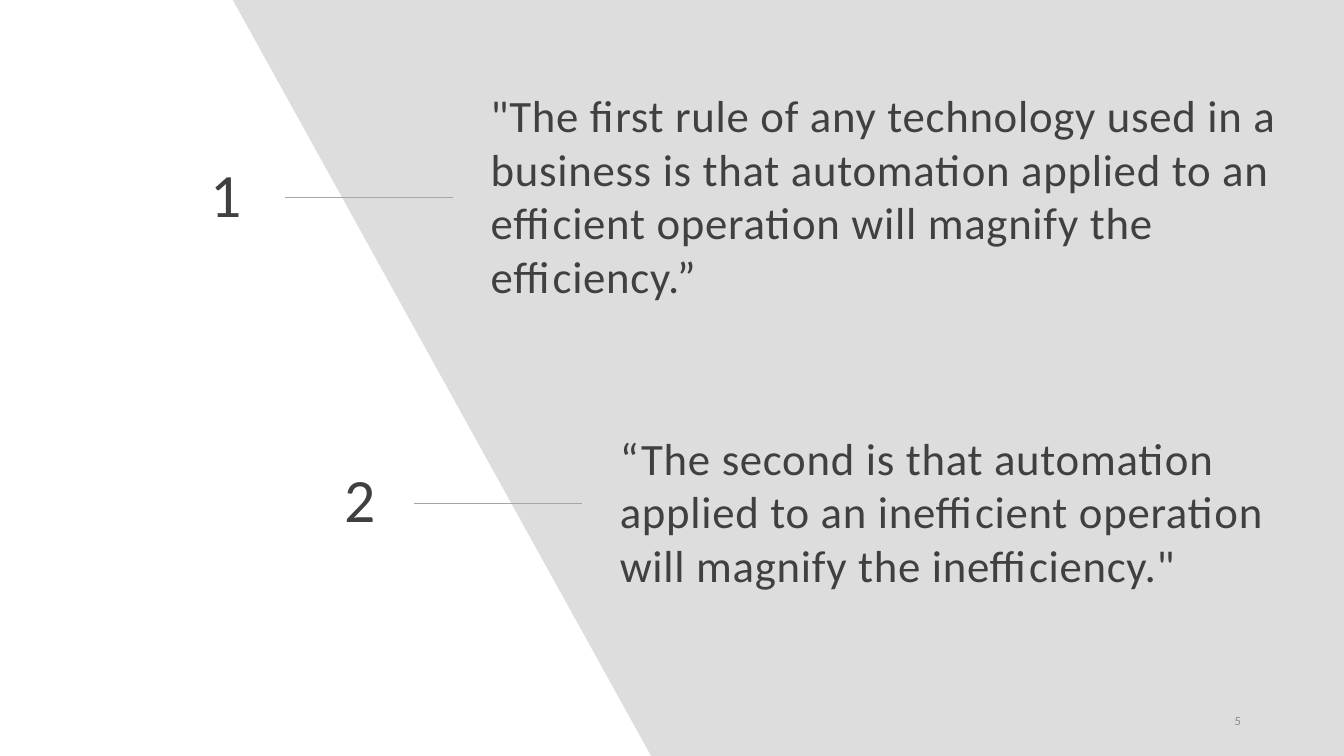
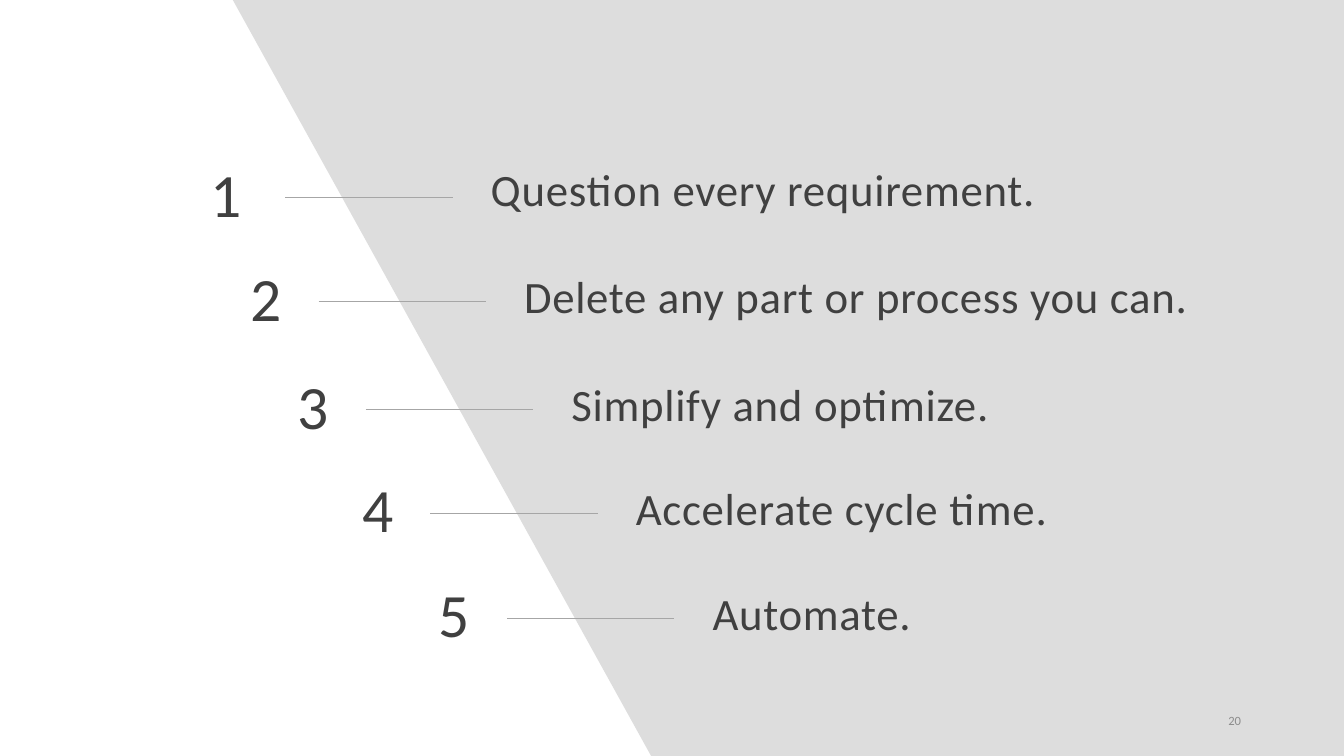
"""Build two slides of numbered statements beside a slanted grey panel."""
from dataclasses import dataclass

import pptx
import pptx.dml.color
import pptx.enum.shapes
import pptx.enum.text
import pptx.oxml.ns
import pptx.util
from lxml import etree


@dataclass(frozen=True)
class Theme:
    font: str = "Calibri"
    panel: str = "DDDDDD"
    ink: str = "404040"
    rule: str = "A6A6A6"
    muted: str = "8C8C8C"
    digit: int = 44
    body: int = 32
    small: int = 9
    hair: float = 0.5


theme = Theme()
rgb = pptx.dml.color.RGBColor.from_string
align = pptx.enum.text.PP_ALIGN
anchor = pptx.enum.text.MSO_ANCHOR
cell = pptx.util.Inches(0.1)
wide, high = 133.33, 75


def grid(*cells):
    return [round(n * cell) for n in cells]


def write(slide, text, place, size=theme.body, color=theme.ink, side=align.LEFT,
          level=anchor.TOP, lead=1.0, track=0):
    frame = slide.shapes.add_textbox(*grid(*place)).text_frame
    frame.word_wrap = True
    frame.vertical_anchor = level
    para = frame.paragraphs[0]
    para.alignment = side
    para.line_spacing = lead
    run = para.add_run()
    run.text = text
    run.font.name = theme.font
    run.font.size = pptx.util.Pt(size)
    run.font.color.rgb = rgb(color)
    if track:
        run._r.get_or_add_rPr().set("spc", str(round(track * 100)))


decks = [
    ("5", [
        (1.6, 28.3, 19.6, 8.2, 81.3, 21.6,
         "\"The first rule of any technology used in a business is that automation "
         "applied to an efficient operation will magnify the efficiency.”"),
        (14.9, 41.1, 49.9, 42.2, 70.1, 16.2,
         "“The second is that automation applied to an inefficient operation "
         "will magnify the inefficiency.\""),
    ]),
    ("20", [
        (1.6, 28.3, 19.6, 15.6, 81.3, 8.5, "Question every requirement."),
        (5.5, 31.6, 29.9, 26.2, 75.9, 7.8, "Delete any part or process you can."),
        (10.2, 36.3, 40.6, 36.9, 62.6, 7.8, "Simplify and optimize."),
        (16.6, 42.7, 50.9, 47.2, 54.7, 7.8, "Accelerate cycle time."),
        (24.2, 50.3, 61.3, 57.6, 43.1, 7.8, "Automate."),
    ]),
]
span, inset, rise = 16.6, 19.4, 2.8

deck = pptx.Presentation()
deck.slide_width, deck.slide_height = grid(wide, high)

for page, rows in decks:
    slide = deck.slides.add_slide(deck.slide_layouts[6])

    pen = slide.shapes.build_freeform(*grid(64.6, high))
    pen.add_line_segments([grid(23.1, 0), grid(wide, 0), grid(wide, high)], close=True)
    panel = pen.convert_to_shape()
    panel.shadow.inherit = False
    panel.fill.solid()
    panel.fill.fore_color.rgb = rgb(theme.panel)
    panel.line.fill.background()

    for count, (left, start, mid, top, width, height, text) in enumerate(rows, 1):
        write(slide, str(count), (left, mid - rise, 23.4, 5.6), size=theme.digit,
              side=align.RIGHT, level=anchor.MIDDLE, lead=0.9, track=1.5)
        write(slide, text, (start + inset, top, width, height), track=0.5)
        rule = slide.shapes.add_connector(
            pptx.enum.shapes.MSO_CONNECTOR.STRAIGHT, *grid(start, mid, start + span, mid))
        rule.line.color.rgb = rgb(theme.rule)
        rule.line.width = pptx.util.Pt(theme.hair)
        etree.SubElement(rule._element.spPr, pptx.oxml.ns.qn("a:effectLst"))

    write(slide, page, (118.2, 69.5, 5.9, 4), size=theme.small, color=theme.muted,
          side=align.RIGHT, level=anchor.MIDDLE)

deck.save("out.pptx")
